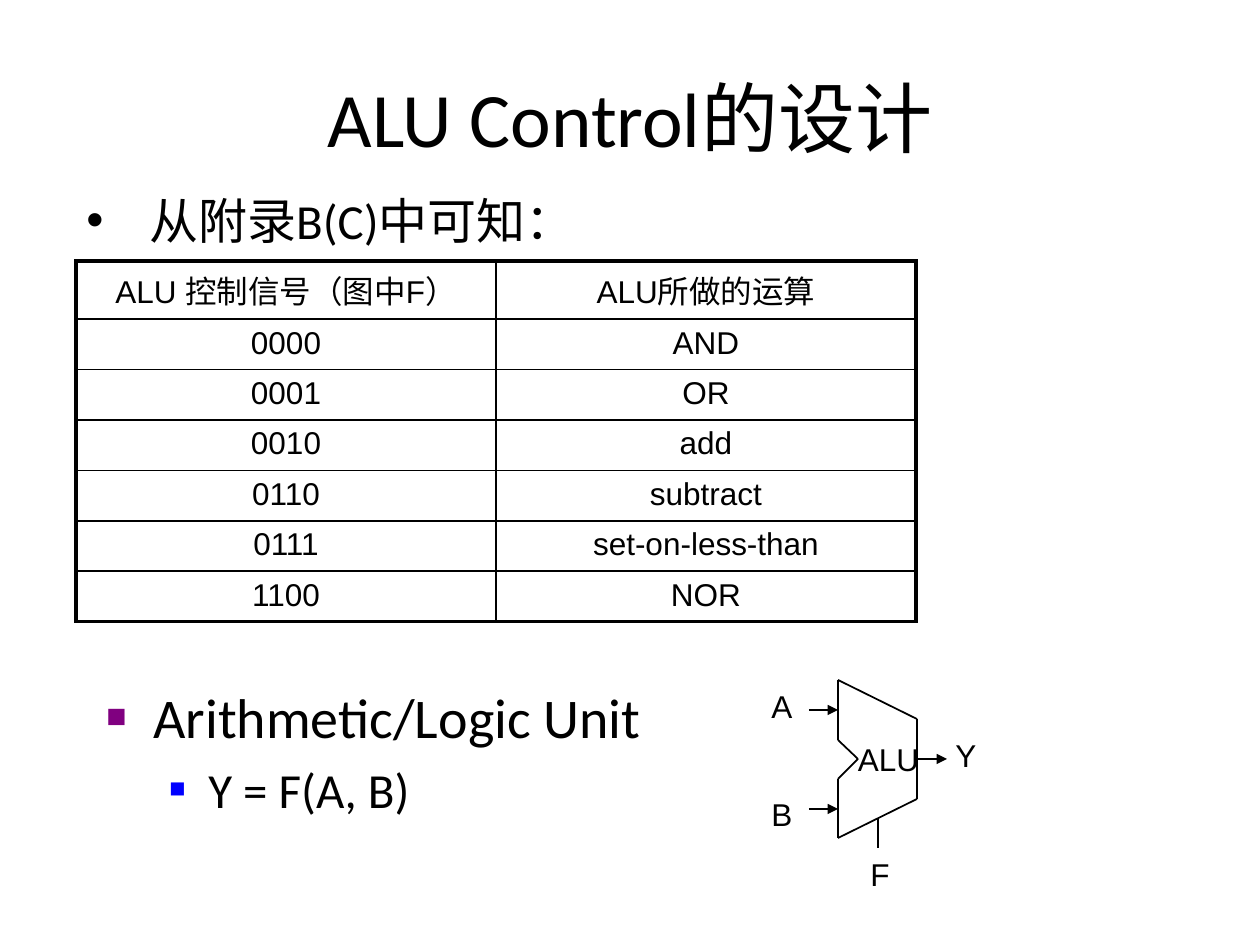
"""Build the ALU control slide with its operation table and block symbol."""
from dataclasses import dataclass

from lxml.etree import SubElement
from pptx import Presentation
from pptx.dml.color import RGBColor
from pptx.enum.shapes import MSO_CONNECTOR
from pptx.enum.text import MSO_ANCHOR, PP_ALIGN
from pptx.oxml.ns import qn
from pptx.util import Pt


@dataclass(frozen=True)
class Theme:
    ink: str = "000000"
    purple: str = "800080"
    blue: str = "0000FF"
    heading_font: str = "Calibri"
    label_font: str = "Arial"
    title_size: int = 44
    large_size: int = 32
    body_size: int = 28
    label_size: int = 18
    thin: float = 1
    medium: float = 1.5
    thick: float = 2.25


THEME = Theme()
SCALE = 914400 / 126

TITLE = "ALU Control的设计"
TITLE_AREA = (63, 38, 1134, 158)
INTRO_AREA = (74, 184, 1150, 72)
INTRO = [("从附录B(C)中可知：", THEME.body_size, 0, 63, 63, "•", THEME.ink, 100)]
UNIT_AREA = (94, 676, 595, 179)
UNIT = [
    ("Arithmetic/Logic Unit", THEME.large_size, 0, 47, 47, "■", THEME.purple, 60),
    ("Y = F(A, B)", THEME.body_size, 1, 102, 39, "■", THEME.blue, 55),
]
TABLE_AREA = (76, 261, 840, 353)
OPERATIONS = [
    ("ALU 控制信号（图中F）", "ALU所做的运算"),
    ("0000", "AND"),
    ("0001", "OR"),
    ("0010", "add"),
    ("0110", "subtract"),
    ("0111", "set-on-less-than"),
    ("1100", "NOR"),
]
ALU_OUTLINE = [(838, 680), (917, 719), (917, 799), (838, 838),
               (838, 779), (858, 759), (838, 740)]
SIGNALS = [
    ((809, 710), (838, 710), True),
    ((809, 809), (838, 809), True),
    ((917, 759), (947, 759), True),
    ((878, 819), (878, 848), False),
]
LABELS = [
    ("A", (759, 681, 47, 50), None),
    ("B", (759, 789, 47, 50), None),
    ("Y", (943, 730, 47, 50), None),
    ("F", (858, 849, 44, 50), None),
    ("ALU", (858, 740, 62, 38), 0),
]


def emu(*lengths):
    return [round(length * SCALE) for length in lengths]


def style_font(font, name, size):
    font.name = name
    font.size = Pt(size)
    font.color.rgb = RGBColor.from_string(THEME.ink)


def add_title(page):
    title = page.shapes.title
    title.left, title.top, title.width, title.height = emu(*TITLE_AREA)
    title.text_frame.text = TITLE
    title.text_frame.vertical_anchor = MSO_ANCHOR.MIDDLE
    para = title.text_frame.paragraphs[0]
    para.alignment = PP_ALIGN.CENTER
    style_font(para.font, THEME.heading_font, THEME.title_size)


def add_bullet(para, margin, hanging, mark, color, percent):
    properties = para._p.get_or_add_pPr()
    left, indent = emu(margin, -hanging)
    properties.set("marL", str(left))
    properties.set("indent", str(indent))
    SubElement(SubElement(properties, qn("a:buClr")), qn("a:srgbClr"), val=color)
    SubElement(properties, qn("a:buSzPct"), val=str(percent * 1000))
    SubElement(properties, qn("a:buFont"), typeface=THEME.label_font)
    SubElement(properties, qn("a:buChar"), char=mark)


def add_bullets(page, area, items):
    frame = page.shapes.add_textbox(*emu(*area)).text_frame
    frame.word_wrap = True
    for index, (text, size, level, *bullet) in enumerate(items):
        para = frame.add_paragraph() if index else frame.paragraphs[0]
        para.text = text
        para.level = level
        add_bullet(para, *bullet)
        if index:
            para.space_before = Pt(size * 0.2)
        style_font(para.font, THEME.heading_font, size)


def set_borders(cell, widths):
    properties = cell._tc.get_or_add_tcPr()
    for side, width in zip("LRTB", widths):
        border = SubElement(properties, qn(f"a:ln{side}"), w=str(Pt(width)))
        fill = SubElement(border, qn("a:solidFill"))
        SubElement(fill, qn("a:srgbClr"), val=THEME.ink)


def add_operations(page):
    rows, columns = len(OPERATIONS), len(OPERATIONS[0])
    table = page.shapes.add_table(rows, columns, *emu(*TABLE_AREA)).table
    table.first_row = table.horz_banding = False
    across = [THEME.thick] + [THEME.thin] * (columns - 1) + [THEME.thick]
    down = [THEME.thick, THEME.medium] + [THEME.thin] * (rows - 2) + [THEME.thick]
    for row, texts in enumerate(OPERATIONS):
        for column, text in enumerate(texts):
            cell = table.cell(row, column)
            set_borders(cell, across[column:column + 2] + down[row:row + 2])
            cell.fill.background()
            cell.text = text
            para = cell.text_frame.paragraphs[0]
            para.alignment = PP_ALIGN.CENTER
            style_font(para.font, THEME.label_font, THEME.label_size)


def add_line(page, start, end, arrow=False):
    connector = page.shapes.add_connector(MSO_CONNECTOR.STRAIGHT, *emu(*start, *end))
    connector.line.color.rgb = RGBColor.from_string(THEME.ink)
    connector.line.width = Pt(THEME.thin)
    if arrow:
        SubElement(connector.line._get_or_add_ln(), qn("a:tailEnd"), type="triangle")
    SubElement(connector._element.spPr, qn("a:effectLst"))


def add_label(page, text, area, inset):
    frame = page.shapes.add_textbox(*emu(*area)).text_frame
    frame.word_wrap = False
    if inset is not None:
        frame.margin_left = frame.margin_right = inset
        frame.margin_top = frame.margin_bottom = inset
    para = frame.paragraphs[0]
    para.text = text
    style_font(para.font, THEME.label_font, THEME.label_size)


def add_alu(page):
    for start, end in zip(ALU_OUTLINE, ALU_OUTLINE[1:] + ALU_OUTLINE[:1]):
        add_line(page, start, end)
    for signal in SIGNALS:
        add_line(page, *signal)
    for label in LABELS:
        add_label(page, *label)


def main():
    deck = Presentation()
    deck.slide_width, deck.slide_height = emu(1260, 945)
    page = deck.slides.add_slide(deck.slide_layouts.get_by_name("Title Only"))
    add_title(page)
    add_operations(page)
    add_bullets(page, INTRO_AREA, INTRO)
    add_alu(page)
    add_bullets(page, UNIT_AREA, UNIT)
    deck.save("out.pptx")


if __name__ == "__main__":
    main()
